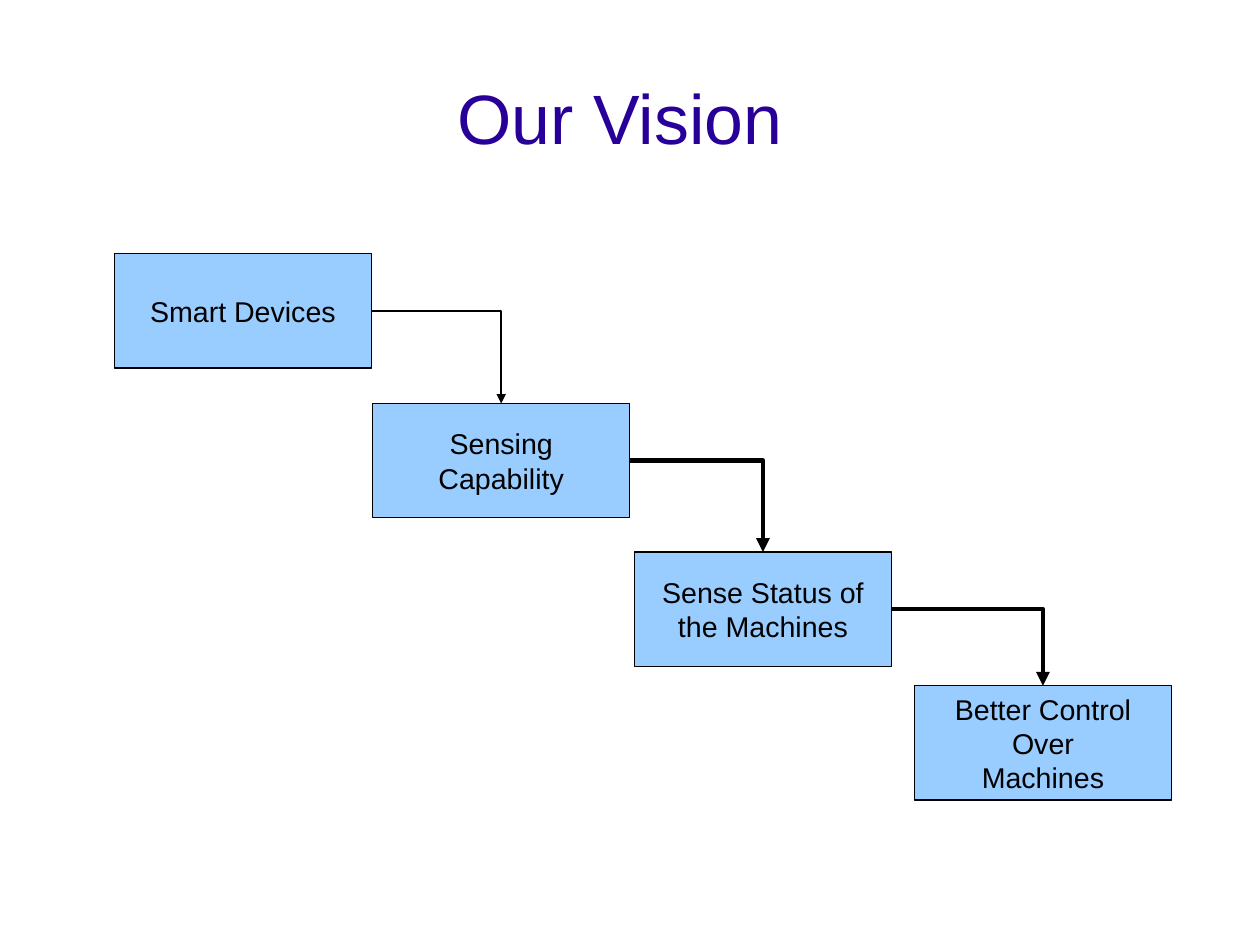
import pptx
import pptx.dml.color
import pptx.enum.shapes
import pptx.enum.text
import pptx.oxml.ns
import pptx.util
import lxml.etree
import itertools

Inches = pptx.util.Inches
Pt = pptx.util.Pt

PAGE_WIDTH, PAGE_HEIGHT = pptx.util.Cm(28), pptx.util.Cm(21)
BOX_WIDTH, BOX_HEIGHT = 2.25, 1
COLOURS = {"title": "280099", "box": "99CCFF", "ink": "000000"}
FONT = "Arial"
RIGHT_SITE, TOP_SITE = 3, 0

# Left, top and lines of each step
STEPS = [
    (1, 2.22, ["Smart Devices"]),
    (3.26, 3.53, ["Sensing Capability"]),
    (5.55, 4.83, ["Sense Status of", "the Machines"]),
    (8, 6, ["Better Control Over", "Machines"]),
]
ARROW_WIDTHS = [1.45, 2.89, 2.89]


def colour(name):
    return pptx.dml.color.RGBColor.from_string(COLOURS[name])


def write_lines(frame, lines, size, ink):
    frame.word_wrap = True
    frame.vertical_anchor = pptx.enum.text.MSO_ANCHOR.MIDDLE
    for index, line in enumerate(lines):
        para = frame.add_paragraph() if index else frame.paragraphs[0]
        para.alignment = pptx.enum.text.PP_ALIGN.CENTER
        span = para.add_run()
        span.text = line
        span.font.name = FONT
        span.font.size = Pt(size)
        span.font.color.rgb = colour(ink)


def add_title(page, text):
    title = page.shapes.title
    title.left, title.top = int(PAGE_WIDTH * 0.05), Inches(0.38)
    title.width, title.height = int(PAGE_WIDTH * 0.9), Inches(1.28)
    frame = title.text_frame
    frame.margin_left = frame.margin_right = 0
    frame.margin_top = frame.margin_bottom = 0
    write_lines(frame, [text], 44, "title")


def add_step(page, left, top, lines):
    box = page.shapes.add_shape(
        pptx.enum.shapes.MSO_SHAPE.RECTANGLE,
        Inches(left), Inches(top), Inches(BOX_WIDTH), Inches(BOX_HEIGHT))
    box.shadow.inherit = False
    box.fill.solid()
    box.fill.fore_color.rgb = colour("box")
    box.line.color.rgb = colour("ink")
    box.line.width = Pt(0)
    write_lines(box.text_frame, lines, 18, "ink")
    return box


def add_arrow(page, start, end, width):
    arrow = page.shapes.add_connector(
        pptx.enum.shapes.MSO_CONNECTOR.ELBOW,
        start.left + start.width, start.top + start.height // 2,
        end.left + end.width // 2, end.top)
    arrow.begin_connect(start, RIGHT_SITE)
    arrow.end_connect(end, TOP_SITE)
    arrow.line.color.rgb = colour("ink")
    arrow.line.width = Pt(width)
    # Single bend, arrowhead and no shadow
    qn = pptx.oxml.ns.qn
    properties = arrow._element.spPr
    properties.find(qn("a:prstGeom")).set("prst", "bentConnector2")
    line = properties.find(qn("a:ln"))
    lxml.etree.SubElement(line, qn("a:tailEnd"), type="triangle")
    lxml.etree.SubElement(properties, qn("a:effectLst"))


def main():
    deck = pptx.Presentation()
    deck.slide_width = PAGE_WIDTH
    deck.slide_height = PAGE_HEIGHT
    page = deck.slides.add_slide(deck.slide_layouts.get_by_name("Title Only"))

    add_title(page, "Our Vision ")

    # Staircase of steps, each leading down to the next
    boxes = [add_step(page, *step) for step in STEPS]
    for (start, end), width in zip(itertools.pairwise(boxes), ARROW_WIDTHS):
        add_arrow(page, start, end, width)

    deck.save("out.pptx")


if __name__ == "__main__":
    main()
